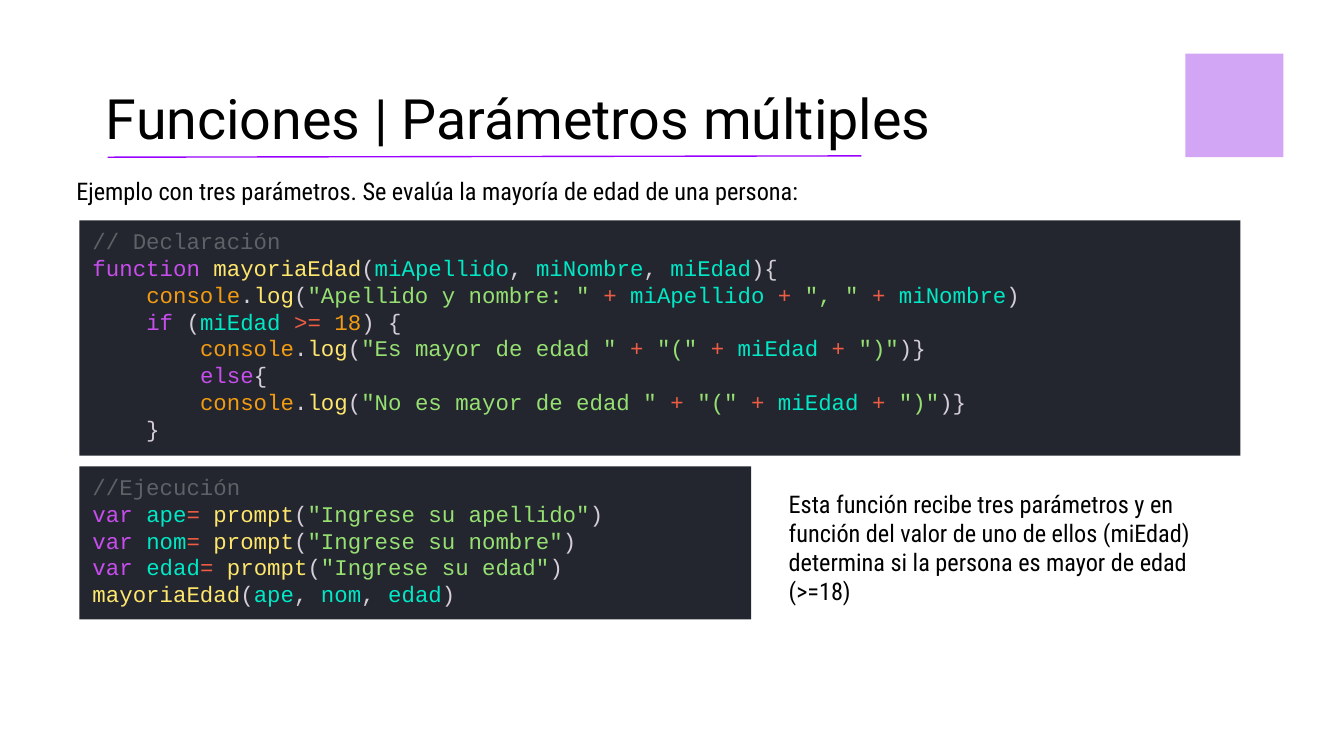
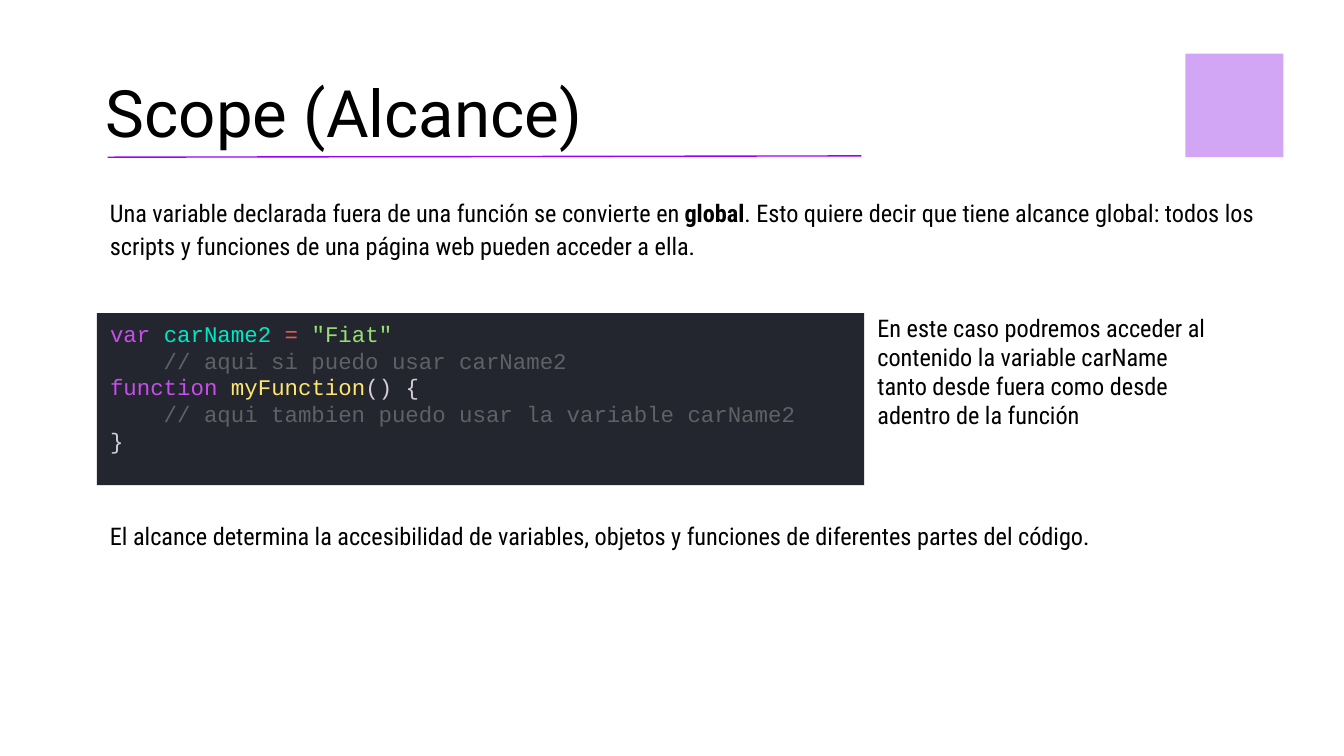
import itertools

import pptx
import pptx.dml.color
import pptx.enum.shapes
import pptx.enum.text
import pptx.oxml
import pptx.oxml.ns
import pptx.util

Inches = pptx.util.Inches
paint = pptx.dml.color.RGBColor.from_string

# Shared colours and text formats
BLACK = "000000"
ACCENT = "D2A6F4"
RULE = "9900FF"
EDITOR = "23262E"
SYNTAX = {"comment": "5F6167", "keyword": "C74DED", "function": "FFE66D",
          "variable": "00E8C6", "constant": "F39C12", "string": "96E072",
          "operator": "EE5D43", "mark": "D5CED9"}
WORDS = {"function": "keyword", "var": "keyword", "if": "keyword", "else": "keyword",
         "mayoriaEdad": "function", "myFunction": "function", "log": "function",
         "prompt": "function", "console": "constant", "18": "constant"}
BODY = {"name": "Roboto Condensed", "size": pptx.util.Pt(13)}
CODE = {"name": "Courier New", "size": pptx.util.Pt(12)}


def highlight(line):
    """Split a line of code into (text, colour, bold) spans."""
    if line.strip().startswith("//"):
        return [(line, SYNTAX["comment"], False)]
    spans = []
    for index, piece in enumerate(line.split('"')):
        if index % 2:
            spans.append((f'"{piece}"', SYNTAX["string"], False))
            continue
        for kind, letters in itertools.groupby(
                piece, lambda c: "word" if c.isalnum() else "operator" if c in "+=>" else "mark"):
            text = "".join(letters)
            if kind == "word":
                kind = WORDS.get(text, "variable")
            spans.append((text, SYNTAX[kind], False))
    return spans


def write(box, lines, style, margin=0.1, anchor="TOP", spacing=1.0):
    """Fill a box with lines, each a list of (text, colour, bold) spans."""
    frame = box.text_frame
    layout = {"word_wrap": True, "margin_left": Inches(0.1), "margin_right": Inches(0.1),
              "margin_top": Inches(margin), "margin_bottom": Inches(margin),
              "vertical_anchor": getattr(pptx.enum.text.MSO_ANCHOR, anchor)}
    for key, value in layout.items():
        setattr(frame, key, value)
    for number, spans in enumerate(lines):
        para = frame.add_paragraph() if number else frame.paragraphs[0]
        para.alignment = pptx.enum.text.PP_ALIGN.LEFT
        para.line_spacing = spacing
        for text, colour, bold in spans:
            span = para.add_run()
            span.text = text
            span.font.color.rgb = paint(colour)
            span.font.bold = bold
            for key, value in style.items():
                setattr(span.font, key, value)


# Content: title, code blocks and body texts, with left, top, width, height
slides = [
    {
        "title": ("Funciones | Parámetros múltiples", 29.8, 1.0),
        "code": [
            ((0.59, 1.64, 8.64, 1.75), """// Declaración
function mayoriaEdad(miApellido, miNombre, miEdad){
    console.log("Apellido y nombre: " + miApellido + ", " + miNombre)
    if (miEdad >= 18) {
        console.log("Es mayor de edad " + "(" + miEdad + ")")}
        else{
        console.log("No es mayor de edad " + "(" + miEdad + ")")}
    }"""),
            ((0.59, 3.47, 5, 1.14), """//Ejecución
var ape= prompt("Ingrese su apellido")
var nom= prompt("Ingrese su nombre")
var edad= prompt("Ingrese su edad")
mayoriaEdad(ape, nom, edad)"""),
        ],
        "body": [
            ((0.47, 1.18, 9.06, 0.46), 1.15,
             ["Ejemplo con tres parámetros. Se evalúa la mayoría de edad de una persona:"]),
            ((5.77, 3.54, 3.59, 1), 1.0,
             ["Esta función recibe tres parámetros y en función del valor de uno de ellos "
              "(miEdad) determina si la persona es mayor de edad (>=18)"]),
        ],
    },
    {
        "title": ("Scope (Alcance)", 35, 0.8),
        "code": [
            ((0.72, 2.33, 5.71, 1.28), """var carName2 = "Fiat"
    // aqui si puedo usar carName2
function myFunction() {
    // aqui tambien puedo usar la variable carName2
}"""),
        ],
        "body": [
            ((0.72, 1.34, 9.06, 0.91), 1.15,
             ["Una variable declarada fuera de una función se convierte en ", "global",
              ". Esto quiere decir que tiene alcance global: todos los scripts y funciones "
              "de una página web pueden acceder a ella."]),
            ((6.43, 2.23, 2.69, 1.08), 1.0,
             ["En este caso podremos acceder al contenido la variable carName tanto desde "
              "fuera como desde adentro de la función"]),
            ((0.72, 3.78, 9.17, 0.42), 1.0,
             ["El alcance determina la accesibilidad de variables, objetos y funciones de "
              "diferentes partes del código."]),
        ],
    },
]

# Widescreen deck, 16 to 9
deck = pptx.Presentation()
deck.slide_width = Inches(10)
deck.slide_height = Inches(10 * 9 / 16)

for content in slides:
    page = deck.slides.add_slide(deck.slide_layouts[6])

    # Corner square and code panels
    panels = [((8.82, 0.4, 0.73, 0.77), ACCENT, None)]
    panels += [(place, EDITOR, code) for place, code in content["code"]]
    for place, colour, code in panels:
        panel = page.shapes.add_shape(pptx.enum.shapes.MSO_SHAPE.RECTANGLE, *map(Inches, place))
        panel.shadow.inherit = False
        panel.fill.solid()
        panel.fill.fore_color.rgb = paint(colour)
        panel.line.fill.background()
        if code:
            write(panel, [highlight(line) for line in code.split("\n")], CODE, margin=0.05)

    # Body texts: every second span is bold
    for place, spacing, texts in content["body"]:
        box = page.shapes.add_textbox(*map(Inches, place))
        spans = [(text, BLACK, index % 2 == 1) for index, text in enumerate(texts)]
        write(box, [spans], BODY, spacing=spacing)

    # Title and the rule under it
    rule = page.shapes.add_connector(pptx.enum.shapes.MSO_CONNECTOR.STRAIGHT,
                                     *map(Inches, (0.8, 1.17, 6.41, 1.16)))
    rule.line.color.rgb = paint(RULE)
    rule.line.width = pptx.util.Pt(0.75)
    rule._element.spPr.append(pptx.oxml.parse_xml(
        f"<a:effectLst {pptx.oxml.ns.nsdecls('a')}/>"))
    title, size, spacing = content["title"]
    box = page.shapes.add_textbox(*map(Inches, (0.69, 0.43, 8, 0.79)))
    write(box, [[(title, BLACK, False)]], {"name": "Roboto", "size": pptx.util.Pt(size)},
          anchor="BOTTOM", spacing=spacing)

deck.save("out.pptx")
